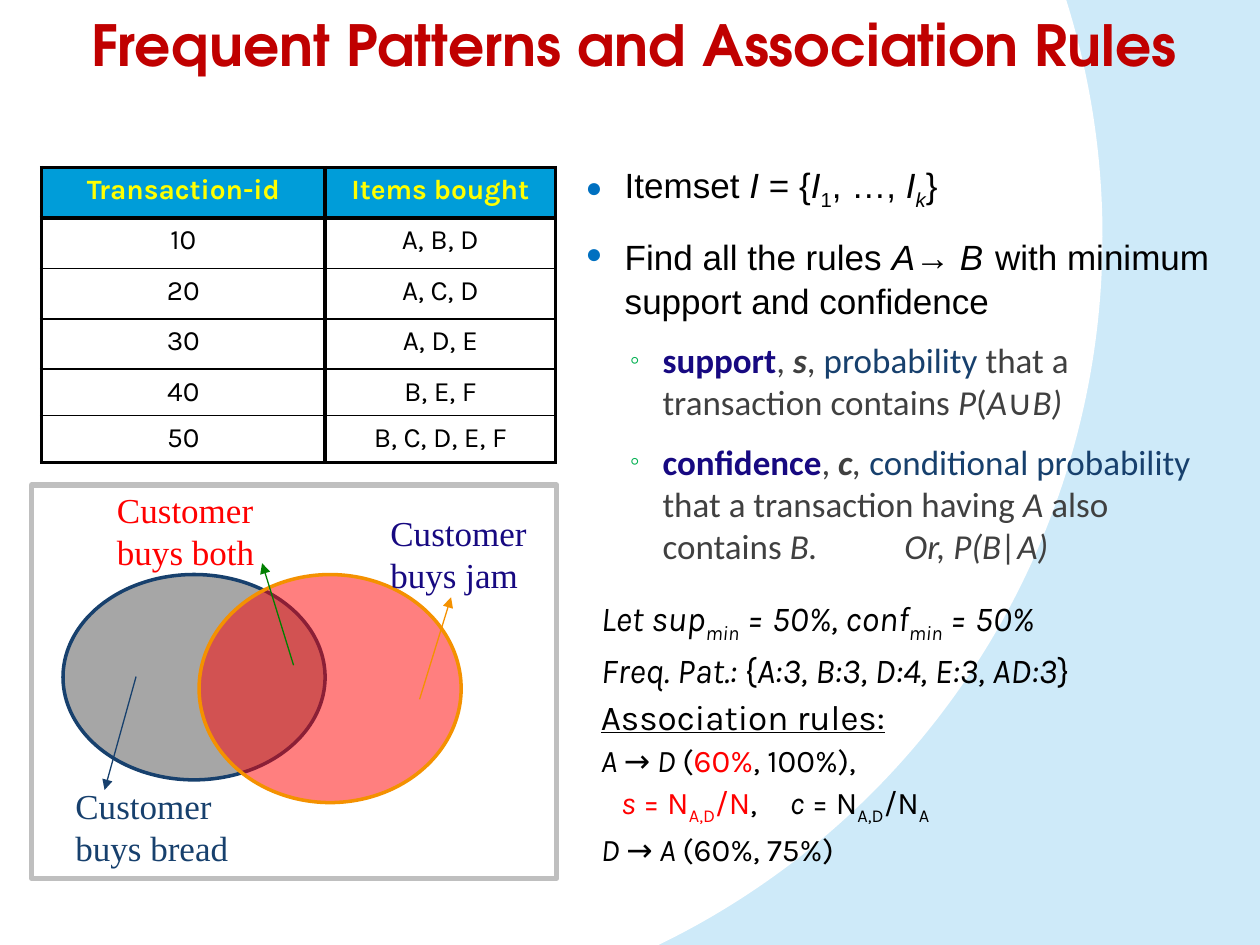
from lxml import etree
from pptx import Presentation
from pptx.dml.color import RGBColor
from pptx.enum import shapes, text
from pptx.oxml import parse_xml
from pptx.oxml.ns import nsdecls, qn
from pptx.util import Inches, Pt

HUES = {
    "black": "000000", "white": "FFFFFF", "sky": "CEEAF9", "title": "C00000",
    "blue": "0070C0", "green": "00B050", "indigo": "170981", "gray": "404040",
    "navy": "17406D", "red": "FF0000", "orange": "F49100", "leaf": "008000",
    "steel": "A6A6A6", "frame": "BFBFBF", "head": "009DD9", "yellow": "FFFF00",
}


def hue(name):
    return RGBColor.from_string(HUES[name])


def add_sub(parent, tag, **attrs):
    node = etree.SubElement(parent, qn(tag))
    for key, value in attrs.items():
        node.set(key, str(value))
    return node


def set_para(para, left=0, first=0, bullet=None, tab=None):
    """Set indents, a (sign, colour) bullet and a tab stop, in inches."""
    props = para._p.get_or_add_pPr()
    props.set("marL", str(Inches(left)))
    props.set("indent", str(Inches(first)))
    if bullet:
        sign, color = bullet
        add_sub(add_sub(props, "a:buClr"), "a:srgbClr", val=HUES[color])
        add_sub(props, "a:buSzPct", val=80000)
        add_sub(props, "a:buFont", typeface="Arial")
        add_sub(props, "a:buChar", char=sign)
    if tab:
        add_sub(add_sub(props, "a:tabLst"), "a:tab", pos=Inches(tab), algn="l")


def write(para, runs, font="Arial", size=20, color="black", bold=False,
          before=0, spacing=None, align=None, **layout):
    """Fill a paragraph; a run is (text, flags b i u _, colour, size)."""
    if layout:
        set_para(para, **layout)
    if before:
        para.space_before = Pt(before)
    if spacing:
        para.line_spacing = spacing
    if align:
        para.alignment = align
    for item in [runs] if isinstance(runs, str) else runs:
        words, flags, tint, points = (
            (item, "", None, None) if isinstance(item, str)
            else (*item, None, None)[:4])
        run = para.add_run()
        run.text = words
        run.font.name = font
        run.font.size = Pt(points or size)
        run.font.color.rgb = hue(tint or color)
        run.font.bold = bold or "b" in flags
        run.font.italic = "i" in flags
        run.font.underline = "u" in flags
        if "_" in flags:
            run.font._element.set("baseline", "-25000")


def add_text(parent, box, paras, wrap=True, **style):
    """Add a text box; a paragraph is its runs, or (runs, own format)."""
    frame = parent.add_textbox(*map(Inches, box)).text_frame
    frame.word_wrap = wrap
    for num, item in enumerate(paras):
        runs, own = item if isinstance(item, tuple) else (item, {})
        para = frame.add_paragraph() if num else frame.paragraphs[0]
        form = {**style, **own}
        if not num:
            form["before"] = 0
        write(para, runs, **form)


def add_shape(parent, kind, box, line, width, fill=None, alpha=None):
    shape = parent.add_shape(kind, *map(Inches, box))
    shape.shadow.inherit = False
    shape.line.color.rgb = hue(line)
    shape.line.width = Pt(width)
    if not fill:
        shape.fill.background()
        return
    shape.fill.solid()
    shape.fill.fore_color.rgb = hue(fill)
    if alpha:
        color = shape._element.spPr.find(qn("a:solidFill"))[0]
        add_sub(color, "a:alpha", val=alpha * 1000)


def add_arrow(parent, start, end, color):
    line = parent.add_connector(shapes.MSO_CONNECTOR.STRAIGHT,
                                *map(Inches, (*start, *end)))
    line.line.color.rgb = hue(color)
    line.line.width = Pt(0.75)
    add_sub(line.line._ln, "a:tailEnd", type="triangle")
    add_sub(line._element.spPr, "a:effectLst")


def set_edges(cell, **widths):
    props = cell._tc.get_or_add_tcPr()
    for num, side in enumerate("LRTB"):
        edge = etree.Element(qn(f"a:ln{side}"), w=str(Pt(widths[side])))
        add_sub(add_sub(edge, "a:solidFill"), "a:srgbClr", val=HUES["black"])
        props.insert(num, edge)


def add_table(slide, box, rows, cols, heights):
    table = slide.shapes.add_table(len(rows), len(cols),
                                   *map(Inches, box)).table
    for col, width in zip(table.columns, cols):
        col.width = Inches(width)
    for r, row in enumerate(rows):
        table.rows[r].height = Inches(heights[r])
        for c, words in enumerate(row):
            cell = table.cell(r, c)
            if r:
                cell.fill.background()
            else:
                cell.fill.solid()
                cell.fill.fore_color.rgb = hue("head")
            set_edges(cell, L=2.25, R=2.25, T=2.25 if r < 2 else 1,
                      B=2.25 if r in (0, len(rows) - 1) else 1)
            write(cell.text_frame.paragraphs[0], words, font="Karla", size=16,
                  color="black" if r else "yellow", bold=not r,
                  align=text.PP_ALIGN.CENTER)


def set_back(slide):
    """White disc on sky blue, as a circular gradient with a hard edge."""
    slide.background.fill.solid()
    props = slide.element.find(".//" + qn("p:bgPr"))
    stops = "".join(f'<a:gs pos="100000"><a:srgbClr val="{HUES[name]}"/></a:gs>'
                    for name in ("white", "sky"))
    props.replace(props[0], parse_xml(
        f'<a:gradFill {nsdecls("a")} rotWithShape="1"><a:gsLst>{stops}</a:gsLst>'
        '<a:path path="circle"><a:fillToRect l="50000" t="50000" r="100000" '
        'b="100000"/></a:path></a:gradFill>'))


def add_venn(slide):
    group = slide.shapes.add_group_shape().shapes
    oval = shapes.MSO_SHAPE.OVAL
    add_shape(group, oval, (0.5, 4.56, 2.08, 1.63), "navy", 2, "steel")
    add_shape(group, oval, (1.58, 4.56, 2.08, 1.81), "orange", 2, "red", 50)
    add_arrow(group, (1.08, 5.37), (0.83, 6.27), "navy")
    add_arrow(group, (3.33, 5.55), (3.58, 4.74), "orange")
    add_arrow(group, (2.33, 5.28), (2.08, 4.47), "leaf")
    for what, box, color, wrap in (
            ("jam", (3, 4.01, 1.67, 0.77), "indigo", True),
            ("both", (0.83, 3.83, 1.81, 0.77), "red", True),
            ("bread", (0.5, 6.18, 1.53, 0.84), "navy", False)):
        add_text(group, box, ["Customer", f"buys {what}"], wrap,
                 font="Times New Roman", color=color)
    add_shape(group, shapes.MSO_SHAPE.RECTANGLE, (0.25, 3.85, 4.17, 3.12),
              "frame", 3)


def add_body(slide):
    top = dict(left=0.4, first=-0.31, bullet=("●", "blue"))
    sub = dict(left=0.7, first=-0.26, bullet=("◦", "green"),
               font="Calibri", color="gray")
    add_text(slide.shapes, (4.46, 1.25, 5.42, 3.5), [
        (["Itemset ", ("I", "i"), " = {", ("I", "i"), ("1", "_"), ", …, ",
          ("I", "i"), ("k", "i_"), "}"], top),
        (["Find all the rules ", ("A", "i"), "→ ", ("B", "i"),
          (" ", "i", None, 24), "with minimum support and confidence"], top),
        ([("support", "b", "indigo"), ", ", ("s", "bi"), ", ",
          ("probability", "", "navy"), " that a transaction contains ",
          ("P", "i"), "(", ("A", "i"), "∪", ("B)", "i")], sub),
        ([("confidence", "b", "indigo"), ", ", ("c", "bi"), (", ", "i"),
          ("conditional probability", "", "navy"),
          " that a transaction having ", ("A", "i"), " also contains ",
          ("B.\tOr, P(B|A)", "i")], {**sub, "tab": 2.62}),
    ], before=10)


def add_rules(slide):
    small = dict(size=18)
    add_text(slide.shapes, (4.67, 4.65, 5.33, 2.38), [
        [("Let sup", "i"), ("min", "i_"), (" = 50%, conf", "i"),
         ("min", "i_"), (" = 50%", "i")],
        [("Freq. Pat.: ", "i"), "{", ("A:3, B:3, D:4, E:3, AD:3", "i"), "}"],
        [("Association rules:", "u")],
        ([("A ", "i"), "→", (" D ", "i"), "(", ("60%", "", "red"),
          ", 100%),"], small),
        ([("s", "i", "red"), (" = N", "", "red"), ("A,D", "_", "red"),
          ("/N", "", "red"), ",\t", ("c", "i"), " = N", ("A,D", "_"), "/N",
          ("A", "_")], dict(size=18, first=0.16, tab=1.9)),
        ([("D ", "i"), "→", (" A ", "i"), "(60%, 75%)"], small),
    ], font="Karla", spacing=1.1)


def main():
    deck = Presentation()
    deck.slide_width, deck.slide_height = Inches(10), Inches(7.5)
    slide = deck.slides.add_slide(deck.slide_layouts[6])
    set_back(slide)
    add_text(slide.shapes, (0.5, 0.03, 9.33, 1),
             [" Frequent Patterns and Association Rules"],
             font="TeX Gyre Adventor", size=32.4, color="title", bold=True)
    add_body(slide)
    add_rules(slide)
    add_venn(slide)
    add_table(slide, (0.33, 1.33, 4.08, 2.34), [
        ("Transaction-id", "Items bought"), ("10", "A, B, D"),
        ("20", "A, C, D"), ("30", "A, D, E"), ("40", "B, E, F"),
        ("50", "B, C, D, E, F")], (2.25, 1.83), [0.4] * 4 + [0.37] * 2)
    deck.save("out.pptx")


if __name__ == "__main__":
    main()
